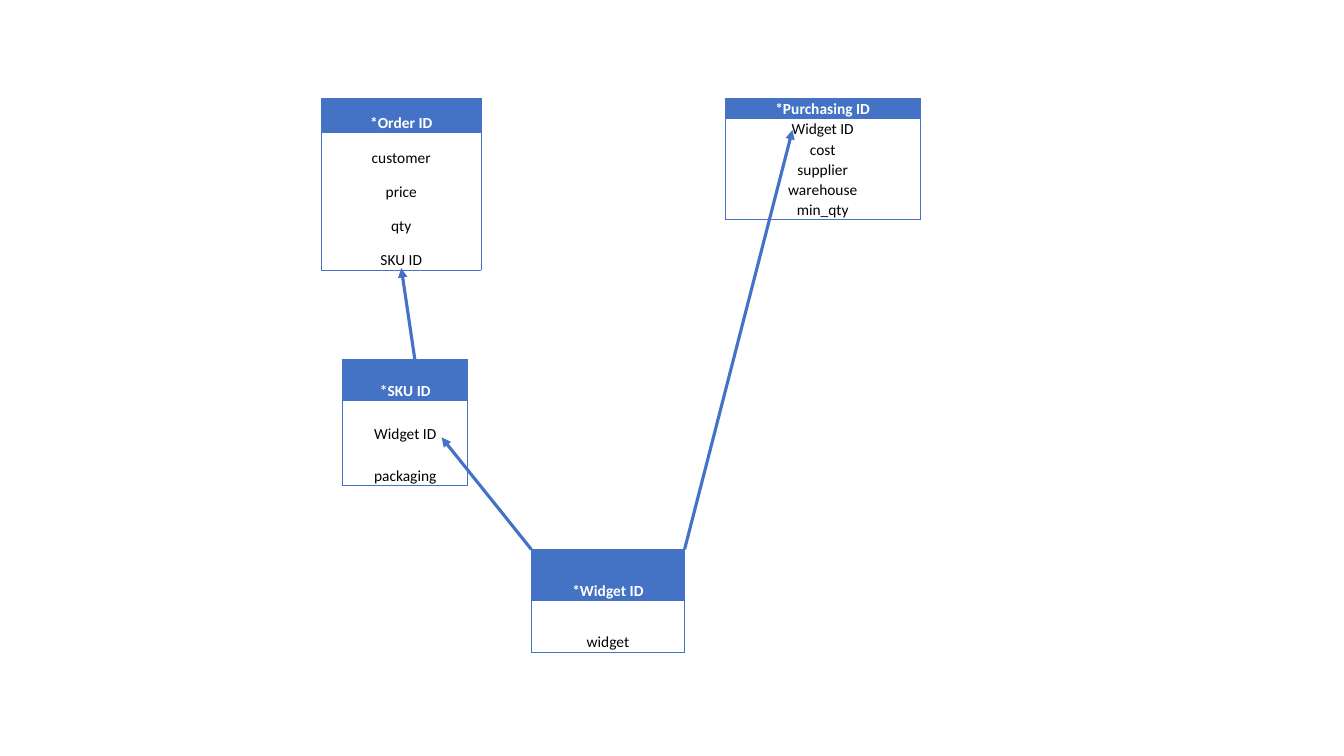
from dataclasses import dataclass

from lxml import etree
from pptx import Presentation
from pptx.dml.color import RGBColor
from pptx.enum.shapes import MSO_CONNECTOR
from pptx.enum.text import MSO_ANCHOR, PP_ALIGN
from pptx.oxml.ns import qn
from pptx.slide import Slide
from pptx.table import _Cell
from pptx.util import Inches, Pt

STRAIGHT = MSO_CONNECTOR.STRAIGHT
BOTTOM = MSO_ANCHOR.BOTTOM
CENTER = PP_ALIGN.CENTER

BLUE = "4472C4"
WHITE = "FFFFFF"
BLACK = "000000"
FONT = "Calibri"
BLANK_LAYOUT = 6


@dataclass(frozen=True)
class Entity:
    """A database entity: its key, its fields and its place in inches."""
    left: float
    top: float
    width: float
    row_height: float
    key: str
    fields: tuple[str, ...]


@dataclass(frozen=True)
class Relation:
    """An arrow from one entity to the field that refers to it, in inches."""
    start: tuple[float, float]
    end: tuple[float, float]


ENTITIES = (
    Entity(3.19, 0.98, 1.58, 0.34, "*Order ID",
           ("customer", "price", "qty", "SKU ID")),
    Entity(7.19, 0.98, 1.94, 0.2, "*Purchasing ID",
           ("Widget ID", "cost", "supplier", "warehouse", "min_qty")),
    Entity(3.4, 3.56, 1.24, 0.42, "*SKU ID", ("Widget ID", "packaging")),
    Entity(5.27, 5.45, 1.52, 0.51, "*Widget ID", ("widget",)),
)

RELATIONS = (
    Relation((5.27, 5.45), (4.38, 4.34)),
    Relation((6.79, 5.45), (7.86, 1.29)),
    Relation((4.13, 3.67), (3.98, 2.66)),
)


def rgb(color: str) -> RGBColor:
    """Turn a hex string into a colour."""
    return RGBColor.from_string(color)


def write_text(cell: _Cell, text: str, *, color: str, bold: bool = False,
               size: float = 11) -> None:
    """Write centred text at the bottom of a cell."""
    cell.vertical_anchor = BOTTOM
    cell.margin_left = cell.margin_right = cell.margin_top = Inches(0.01)
    cell.margin_bottom = 0
    paragraph = cell.text_frame.paragraphs[0]
    paragraph.alignment = CENTER
    run = paragraph.add_run()
    run.text = text
    run.font.name = FONT
    run.font.size = Pt(size)
    run.font.bold = bold
    run.font.color.rgb = rgb(color)


def set_borders(cell: _Cell, visible_sides: str) -> None:
    """Draw thin blue borders on the given sides and none on the others."""
    properties = cell._tc.get_or_add_tcPr()
    for side in "LRTB":
        border = etree.SubElement(properties, qn(f"a:ln{side}"), w=str(Pt(0.5)))
        if side in visible_sides:
            fill = etree.SubElement(border, qn("a:solidFill"))
            etree.SubElement(fill, qn("a:srgbClr"), val=BLUE)
        else:
            etree.SubElement(border, qn("a:noFill"))


def draw_entity(slide: Slide, entity: Entity) -> None:
    """Draw an entity as a one-column table headed by its key."""
    labels = (entity.key, *entity.fields)
    table = slide.shapes.add_table(
        len(labels), 1, Inches(entity.left), Inches(entity.top),
        Inches(entity.width), Inches(entity.row_height * len(labels))).table
    table.first_row = table.horz_banding = False
    for index, label in enumerate(labels):
        is_key = index == 0
        is_last = index == len(labels) - 1
        table.rows[index].height = Inches(entity.row_height)
        cell = table.cell(index, 0)
        write_text(cell, label, color=WHITE if is_key else BLACK, bold=is_key)
        set_borders(cell, "LR" + "T" * is_key + "B" * is_last)
        if is_key:
            cell.fill.solid()
            cell.fill.fore_color.rgb = rgb(BLUE)
        else:
            cell.fill.background()


def draw_relation(slide: Slide, relation: Relation) -> None:
    """Draw a relation as a blue line with an arrowhead at its end."""
    points = (Inches(value) for value in relation.start + relation.end)
    arrow = slide.shapes.add_connector(STRAIGHT, *points)
    arrow.line.color.rgb = rgb(BLUE)
    arrow.line.width = Pt(2.25)
    etree.SubElement(arrow.line._get_or_add_ln(), qn("a:tailEnd"), type="triangle")
    etree.SubElement(arrow._element.spPr, qn("a:effectLst"))


def main() -> None:
    """Build the entity diagram and save it."""
    presentation = Presentation()
    presentation.slide_width = Inches(13.33)
    presentation.slide_height = Inches(7.5)
    slide = presentation.slides.add_slide(presentation.slide_layouts[BLANK_LAYOUT])
    for entity in ENTITIES:
        draw_entity(slide, entity)
    for relation in RELATIONS:
        draw_relation(slide, relation)
    presentation.save("out.pptx")


main()
